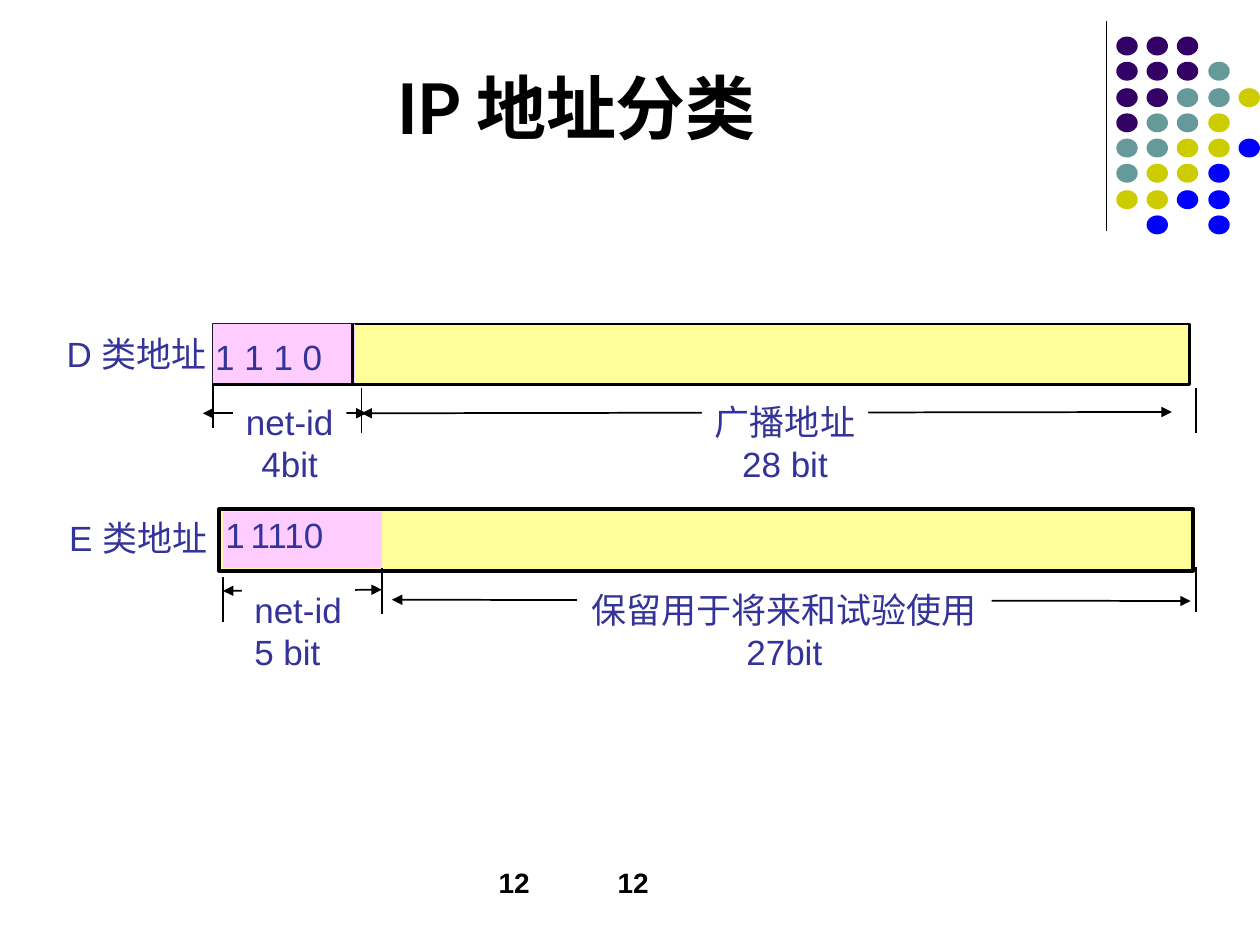
from dataclasses import dataclass

from lxml import etree
from pptx import Presentation, util as u
from pptx.dml.color import RGBColor
from pptx.enum import shapes, text
from pptx.oxml import ns


@dataclass(frozen=True)
class Theme:
    ink: str = "000000"
    label: str = "333399"
    paper: str = "FFFFFF"
    prefix: str = "FFCCFF"
    address: str = "FFFF99"
    font: str = "Arial"
    title_font: str = "Lato"
    title_size: int = 40
    body_size: int = 20
    number_size: int = 16


theme = Theme()
PX = 9144  # 100 px to the inch
LEFT, CENTER = text.PP_ALIGN.LEFT, text.PP_ALIGN.CENTER
DOT_COLORS = {"P": "330066", "T": "669999", "Y": "CCCC00", "B": "0000FF"}

deck = Presentation()
deck.slide_width, deck.slide_height = 1000 * PX, 750 * PX
page = deck.slides.add_slide(deck.slide_layouts[5])


def add_text(left, top, width, height, lines, align=LEFT, wrap=False,
             fill=None, size=theme.body_size, color=theme.label, bold=False):
    box = page.shapes.add_textbox(left * PX, top * PX, width * PX, height * PX)
    if fill:
        box.fill.solid()
        box.fill.fore_color.rgb = RGBColor.from_string(fill)
    frame = box.text_frame
    frame.word_wrap = wrap
    frame.text = lines
    for para in frame.paragraphs:
        para.alignment = align
        for span in para.runs:
            span.font.name, span.font.size, span.font.bold = theme.font, u.Pt(size), bold
            span.font.color.rgb = RGBColor.from_string(color)


def add_line(x1, y1, x2, y2, weight=1, arrows=False):
    line = page.shapes.add_connector(shapes.MSO_CONNECTOR.STRAIGHT,
                                     x1 * PX, y1 * PX, x2 * PX, y2 * PX)
    line.line.color.rgb = RGBColor.from_string(theme.ink)
    line.line.width = u.Pt(weight)
    if arrows:
        for end in ("a:headEnd", "a:tailEnd"):
            etree.SubElement(line.line._get_or_add_ln(), ns.qn(end), type="triangle")
    etree.SubElement(line._element.spPr, ns.qn("a:effectLst"))


# Corner dots and rule
dot_rows = ["PPP", "PPPT", "PPTTY", "PTTY", "TTYYB", "TYYB", "YYBB", " B B"]
for row, codes in enumerate(dot_rows):
    for column, code in enumerate(codes):
        if code == " ":
            continue
        dot = page.shapes.add_shape(
            shapes.MSO_SHAPE.OVAL, round(886 + 24.25 * column) * PX,
            round(29 + 20.3 * row) * PX, 17 * PX, 15 * PX)
        dot.shadow.inherit = False
        dot.fill.solid()
        dot.fill.fore_color.rgb = RGBColor.from_string(DOT_COLORS[code])
        dot.line.fill.background()
add_line(878, 17, 878, 183, 0.75)

# Title
title = page.shapes.title
title.left, title.top, title.width, title.height = 59 * PX, 39 * PX, 797 * PX, 84 * PX
title.text_frame.text = "IP 地址分类"
title.text_frame.auto_size = text.MSO_AUTO_SIZE.NONE
title.text_frame.vertical_anchor = text.MSO_ANCHOR.BOTTOM
title_para = title.text_frame.paragraphs[0]
title_para.alignment = CENTER
title_font = title_para.runs[0].font
title_font.name, title_font.size, title_font.bold = theme.title_font, u.Pt(theme.title_size), True
title_font.color.rgb = RGBColor.from_string(theme.ink)

# Address bars with their prefix fields: left, top, width, height, fill, outline
bars = [
    (169, 257, 775, 48, theme.address, 1.5),
    (174, 404, 773, 49, theme.address, 2),
    (177, 406, 126, 45, theme.prefix, 0),
    (169, 257, 113, 47, theme.prefix, 0),
]
for left, top, width, height, fill, outline in bars:
    bar = page.shapes.add_shape(shapes.MSO_SHAPE.RECTANGLE,
                                left * PX, top * PX, width * PX, height * PX)
    bar.shadow.inherit = False
    bar.fill.solid()
    bar.fill.fore_color.rgb = RGBColor.from_string(fill)
    if outline:
        bar.line.color.rgb = RGBColor.from_string(theme.ink)
        bar.line.width = u.Pt(outline)
    else:
        bar.line.fill.background()
add_line(280, 257, 280, 306, 1.5)

# Field widths: arrow ends, then the caption that covers the arrow's middle
fields = [
    ((287, 328, 930, 327), (557, 313, 132), "广播地址\n28 bit", CENTER),
    ((177, 469, 303, 468), (192, 462, 90), "net-id\n5 bit", LEFT),
    ((161, 328, 291, 328), (185, 313, 90), "net-id\n4bit", CENTER),
    ((311, 476, 945, 477), (458, 462, 329), "保留用于将来和试验使用\n27bit", CENTER),
]
for arrow, (left, top, width), caption, align in fields:
    add_line(*arrow, arrows=True)
    add_text(left, top, width, 77, caption, align, fill=theme.paper)

# Field boundary ticks
for x, top in [(169, 304), (287, 308), (949, 308), (177, 458), (303, 451), (949, 450)]:
    add_line(x, top, x, top + 36)

# Class names and prefix bits
add_text(43, 259, 132, 43, "D 类地址", wrap=True)
add_text(45, 405, 131, 43, "E 类地址", wrap=True)
add_text(161, 261, 106, 43, "1 1 1 0")
add_text(169, 403, 53, 43, "1", wrap=True)
add_text(189, 403, 78, 43, "1110")

# Page numbers
for align in (CENTER, LEFT):
    add_text(386, 682, 233, 50, "12", align, wrap=True,
             size=theme.number_size, color=theme.ink, bold=True)

deck.save("out.pptx")
